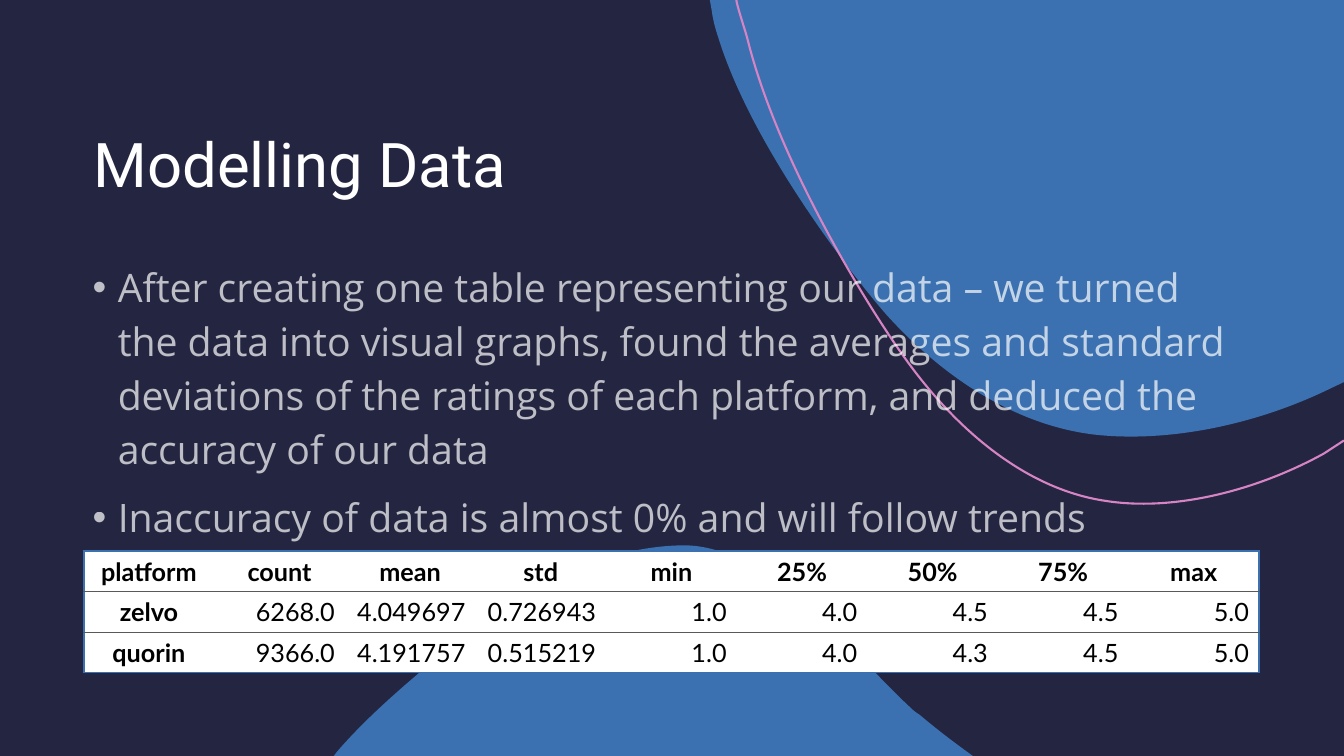
from pptx import Presentation
from pptx import util as u
from pptx.dml.color import RGBColor
from pptx.enum import shapes, text
from pptx.oxml import parse_xml
from pptx.oxml.ns import nsdecls, qn

COLORS = {"night": "242641", "blue": "3B71B1", "pink": "D684C4",
          "white": "FFFFFF", "black": "000000", "rule": "595959"}

# Outlines: a start point, then segments of one point (line) or three (Bezier curve).
TOP_BLOB = [[(7.04, 0)], [(13.33, 0)], [(13.33, 3.79)], [(13.12, 3.89)],
            [(12.37, 4.24), (11.53, 4.39), (10.84, 4.31)],
            [(10.05, 4.21), (9.34, 3.73), (8.79, 3.12)],
            [(8.44, 2.72), (7.45, 1.44), (7.12, 0.36)],
            [(7.09, 0.27), (7.07, 0.19), (7.06, 0.11)], [(7.04, 0)]]
PINK_CURVE = [[(13.33, 4.37)], [(13.13, 4.5)],
              [(12.42, 4.89), (11.61, 5.07), (10.97, 4.97)],
              [(10.21, 4.86), (9.53, 4.31), (9.01, 3.6)],
              [(8.67, 3.14), (7.74, 1.67), (7.42, 0.41)],
              [(7.4, 0.32), (7.31, 0.07), (7.3, -0.02)]]
BOTTOM_BLOB = [[(6.78, 5.41)], [(7.63, 5.41), (8.43, 6.46), (9.02, 7.01)],
               [(9.04, 7.03), (9.07, 7.06), (9.12, 7.09)],
               [(9.25, 7.2), (9.39, 7.31), (9.54, 7.42)],
               [(9.65, 7.5)], [(3.31, 7.5)], [(3.35, 7.45)],
               [(3.67, 7.08), (4.07, 6.75), (4.33, 6.53)],
               [(5, 5.97), (5.85, 5.42), (6.78, 5.41)]]

POINTS = [
    "After creating one table representing our data – we turned the data into visual "
    "graphs, found the averages and standard deviations of the ratings of each platform, "
    "and deduced the accuracy of our data",
    "Inaccuracy of data is almost 0% and will follow trends",
]
RATINGS = [
    ["platform", "count", "mean", "std", "min", "25%", "50%", "75%", "max"],
    ["zelvo", "6268.0", "4.049697", "0.726943", "1.0", "4.0", "4.5", "4.5", "5.0"],
    ["quorin", "9366.0", "4.191757", "0.515219", "1.0", "4.0", "4.3", "4.5", "5.0"],
]


def rgb(name):
    return RGBColor.from_string(COLORS[name])


class Deck:
    heading_font, body_font, table_font = "Roboto", "Open Sans", "Lato"

    def __init__(self, slide, width, height):
        self.slide = slide
        backdrop = slide.shapes.add_shape(shapes.MSO_SHAPE.RECTANGLE, 0, 0, width, height)
        self.paint(backdrop, fill="night")

    def paint(self, shape, fill=None, line=None):
        shape.shadow.inherit = False
        if fill:
            shape.fill.solid()
            shape.fill.fore_color.rgb = rgb(fill)
        else:
            shape.fill.background()
        if line:
            shape.line.color.rgb = rgb(line)
            shape.line.width = u.Pt(1.5)
        else:
            shape.line.fill.background()

    def style(self, paragraph, font, size, color, bold=False):
        paragraph.font.name = font
        paragraph.font.size = u.Pt(size)
        paragraph.font.bold = bold
        paragraph.font.color.rgb = rgb(color)

    def outline(self, segments, fill=None, line=None):
        """Draw lines through all points, then join each group of three into a curve."""
        start, *rest = [(u.Inches(x), u.Inches(y)) for segment in segments for x, y in segment]
        builder = self.slide.shapes.build_freeform(*start)
        builder.add_line_segments(rest, close=fill is not None)
        figure = builder.convert_to_shape()
        strokes = iter(list(figure._element.iter(qn("a:lnTo"))))
        for segment in segments[1:]:
            group = [next(strokes) for _ in segment]
            if len(group) == 3:
                curve = parse_xml(f'<a:cubicBezTo {nsdecls("a")}/>')
                group[0].addprevious(curve)
                for stroke in group:
                    curve.append(stroke[0])
                    stroke.getparent().remove(stroke)
        self.paint(figure, fill, line)

    def frame(self, left, top, width, height):
        box = self.slide.shapes.add_textbox(*map(u.Inches, (left, top, width, height)))
        box.text_frame.word_wrap = True
        return box.text_frame

    def title(self, words, *place):
        frame = self.frame(*place)
        frame.vertical_anchor = text.MSO_ANCHOR.MIDDLE
        heading = frame.paragraphs[0]
        heading.text = words
        heading.line_spacing = 0.9
        self.style(heading, self.heading_font, 44, "white")

    def bullets(self, points, *place):
        frame = self.frame(*place)
        for index, words in enumerate(points):
            point = frame.add_paragraph() if index else frame.paragraphs[0]
            point.text = words
            point.line_spacing = 1.15
            point.space_before = u.Pt(10)
            self.style(point, self.body_font, 28, "white")
            properties = point._p.get_or_add_pPr()
            properties.set("marL", str(u.Inches(0.25)))
            properties.set("indent", str(-u.Inches(0.25)))
            tint = next(properties.iter(qn("a:srgbClr")))
            tint.append(parse_xml(f'<a:alpha {nsdecls("a")} val="70000"/>'))
            font = properties.find(qn("a:defRPr"))
            font.addprevious(parse_xml(f'<a:buFont {nsdecls("a")} typeface="Arial"/>'))
            font.addprevious(parse_xml(f'<a:buChar {nsdecls("a")} char="•"/>'))

    def border(self, cell, side, color=None, points=1):
        ink = (f'<a:solidFill><a:srgbClr val="{COLORS[color]}"/></a:solidFill>'
               if color else '<a:noFill/>')
        cell._tc.get_or_add_tcPr().append(parse_xml(
            f'<a:ln{side} {nsdecls("a")} w="{u.Pt(points)}">{ink}</a:ln{side}>'))

    def table(self, rows, left, top, width, row_height):
        last_row, last_column = len(rows) - 1, len(rows[0]) - 1
        grid = self.slide.shapes.add_table(
            len(rows), len(rows[0]), u.Inches(left), u.Inches(top),
            u.Inches(width), u.Inches(row_height * len(rows))).table
        grid.first_row = grid.horz_banding = False
        for r, values in enumerate(rows):
            grid.rows[r].height = u.Inches(row_height)
            for c, value in enumerate(values):
                cell = grid.cell(r, c)
                label = r == 0 or c == 0
                cell.text = value
                cell.vertical_anchor = text.MSO_ANCHOR.MIDDLE
                entry = cell.text_frame.paragraphs[0]
                entry.alignment = text.PP_ALIGN.CENTER if label else text.PP_ALIGN.RIGHT
                self.style(entry, self.table_font, 18, "black", label)
                for side, outer in (("L", c == 0), ("R", c == last_column),
                                    ("T", r == 0), ("B", r == last_row)):
                    if outer:
                        self.border(cell, side, "blue", 1.5)
                    elif side in "TB":
                        self.border(cell, side, "rule", 0.5)
                    else:
                        self.border(cell, side)
                cell.fill.solid()
                cell.fill.fore_color.rgb = rgb("white")


def main():
    show = Presentation()
    show.slide_width, show.slide_height = u.Inches(13.33), u.Inches(7.5)
    deck = Deck(show.slides.add_slide(show.slide_layouts[6]),
                show.slide_width, show.slide_height)
    deck.outline(TOP_BLOB, fill="blue")
    deck.outline(PINK_CURVE, line="pink")
    deck.outline(BOTTOM_BLOB, fill="blue")
    deck.bullets(POINTS, 0.82, 2.49, 11.67, 4.17)
    deck.title("Modelling Data", 0.83, 0.83, 5.83, 1.67)
    deck.table(RATINGS, 0.83, 5.47, 11.66, 0.4)
    show.save("out.pptx")


if __name__ == "__main__":
    main()
